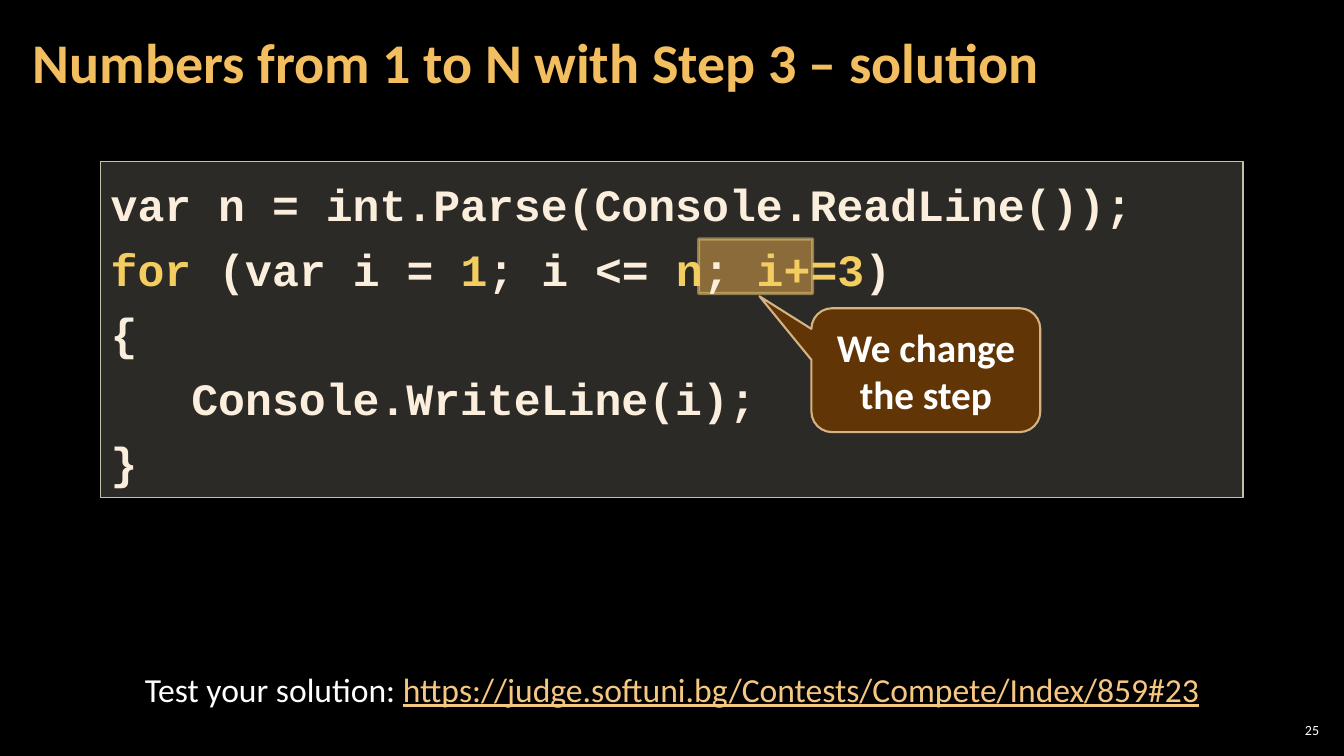
from lxml.etree import SubElement
from pptx import Presentation
from pptx.dml.color import RGBColor
from pptx.enum.shapes import MSO_SHAPE
from pptx.enum.text import MSO_ANCHOR, PP_ALIGN
from pptx.oxml.ns import qn
from pptx.util import Pt

WHITE, CREAM, GOLD = "FFFFFF", "FBEEDC", "F3CD60"
CODE = [
    [("var n = int.Parse(Console.ReadLine());", CREAM)],
    [("for", GOLD), (" (var i = ", CREAM), ("1", GOLD), ("; i <= ", CREAM),
     ("n", GOLD), ("; ", CREAM), ("i+=3", GOLD), (")", CREAM)],
    [("{", CREAM)],
    [("   Console.WriteLine(i);", CREAM)],
    [("}", CREAM)],
]


def paint(fill, color, alpha=100):
    """Set a solid colour with an opacity in percent."""
    fill.solid()
    fill.fore_color.rgb = RGBColor.from_string(color)
    if alpha < 100:
        tone = fill._xPr.find(qn("a:solidFill"))[0]
        SubElement(tone, qn("a:alpha"), val=str(alpha * 1000))


def write(shape, lines, font, size, align=PP_ALIGN.LEFT, bold=False, space=1.0,
          anchor=MSO_ANCHOR.TOP, inset=(7.2, 3.6)):
    """Fill a shape with lines, each a list of (text, colour) runs."""
    frame = shape.text_frame
    x, y = map(Pt, inset)
    look = {"word_wrap": True, "vertical_anchor": anchor, "margin_left": x,
            "margin_right": x, "margin_top": y, "margin_bottom": y}
    for key, value in look.items():
        setattr(frame, key, value)
    for i, line in enumerate(lines):
        para = frame.add_paragraph() if i else frame.paragraphs[0]
        para.alignment, para.line_spacing = align, space
        for text, color in line:
            run = para.add_run()
            run.text = text
            style = {"name": font, "size": Pt(size), "bold": bold}
            for key, value in style.items():
                setattr(run.font, key, value)
            paint(run.font.fill, color)


def block(slide, kind, box, fill, line, width):
    """Add a shape; fill and line are (colour, opacity)."""
    shape = slide.shapes.add_shape(kind, *map(Pt, box))
    shape.shadow.inherit = False
    paint(shape.fill, *fill)
    paint(shape.line.fill, *line)
    shape.line.width = Pt(width)
    return shape


def label(slide, box, runs, size, align, **look):
    text = slide.shapes.add_textbox(*map(Pt, box))
    write(text, [runs], "Calibri", size, align, **look)
    return text


def head(slide, box, text):
    title = slide.shapes.title
    for key, value in zip(("left", "top", "width", "height"), box):
        setattr(title, key, Pt(value))
    write(title, [[(text, "F3BE60")]], "Calibri", 40, bold=True, space=0.9,
          anchor=MSO_ANCHOR.MIDDLE, inset=(8.5, 2.8))


def code(slide, box):
    """Place the listing, its marked step and the callout in the box."""
    x, y, _, _ = box
    block(slide, MSO_SHAPE.RECTANGLE, (x + 427, y + 55.5, 81.5, 39),
          ("F0A22E", 50), (GOLD, 50), 2.25)
    panel = block(slide, MSO_SHAPE.RECTANGLE, box,
                  ("D9D5C7", 20), ("C7BFAC", 100), 1)
    write(panel, CODE, "Courier New", 32, bold=True, space=1.2)
    note = block(slide, MSO_SHAPE.ROUNDED_RECTANGULAR_CALLOUT,
                 (x + 507.6, y + 105, 163.5, 88.5),
                 ("663606", 95), ("F8D49E", 80), 1.5)
    for i, value in enumerate((-0.727, -0.597, 0.167)):
        note.adjustments[i] = value
    write(note, [[("We change the step", WHITE)]], "Calibri", 28,
          PP_ALIGN.CENTER, bold=True, anchor=MSO_ANCHOR.MIDDLE)


def foot(slide, box):
    link = "https://judge.softuni.bg/Contests/Compete/Index/859#23"
    runs = [("Test your solution: ", WHITE), (link, "F6C781")]
    text = label(slide, box, runs, 24, PP_ALIGN.CENTER)
    text.text_frame.paragraphs[0].runs[1].font.underline = True


def main():
    deck = Presentation()
    deck.slide_width, deck.slide_height = Pt(960), Pt(540)
    slide = deck.slides.add_slide(deck.slide_layouts[5])
    paint(slide.background.fill, "000000")
    head(slide, (15, 3, 754, 87), "Numbers from 1 to N with Step 3 – solution")
    code(slide, (72, 115.2, 816, 240))
    foot(slide, (60, 474, 840, 36))
    label(slide, (911, 514, 34, 15), [("25", WHITE)], 10, PP_ALIGN.RIGHT,
          anchor=MSO_ANCHOR.MIDDLE, inset=(2.8, 2.8))
    deck.save("out.pptx")


if __name__ == "__main__":
    main()
